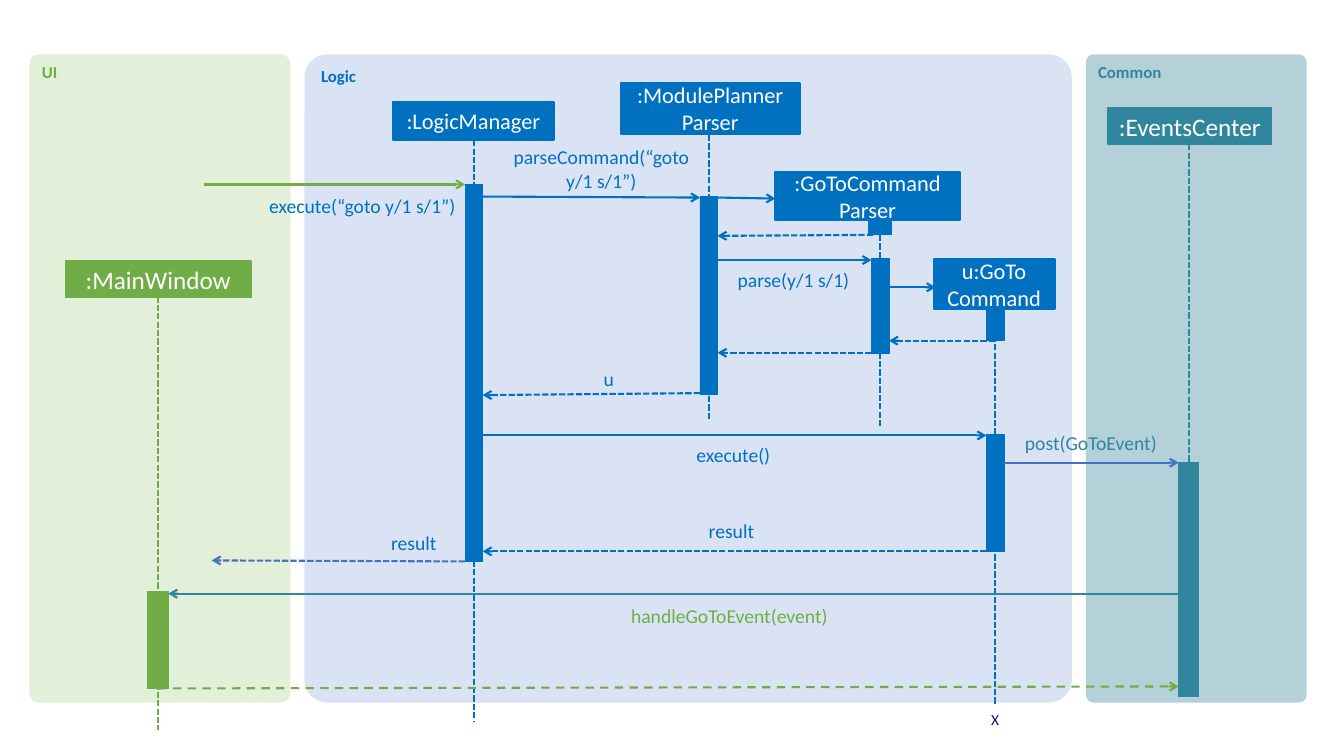
"""Build a sequence diagram slide of the goto command across UI, Logic and Common."""
from dataclasses import dataclass

import pptx
import pptx.dml.color
import pptx.enum.dml
import pptx.enum.shapes
import pptx.enum.text
import pptx.oxml
import pptx.oxml.ns
import pptx.util
from pptx.shapes.autoshape import Shape
from pptx.shapes.connector import Connector
from pptx.slide import Slide

RGBColor = pptx.dml.color.RGBColor
SHAPE = pptx.enum.shapes.MSO_SHAPE
ALIGN = pptx.enum.text.PP_ALIGN
ANCHOR = pptx.enum.text.MSO_ANCHOR
DASH = pptx.enum.dml.MSO_LINE

GREEN = RGBColor(0x70, 0xAD, 0x47)
BLUE = RGBColor(0x00, 0x70, 0xC0)
TEAL = RGBColor(0x30, 0x86, 0x9C)
INDIGO = RGBColor(0x44, 0x72, 0xC4)
NAVY = RGBColor(0x00, 0x20, 0x60)
WHITE = RGBColor(0xFF, 0xFF, 0xFF)
PALE_GREEN = RGBColor(0xE2, 0xF0, 0xD9)
PALE_BLUE = RGBColor(0xDA, 0xE3, 0xF3)
PALE_TEAL = RGBColor(0xB4, 0xD1, 0xD9)

FONT = "Calibri"
COLUMNS, ROWS = 133.3, 75
CELL = pptx.util.Inches(0.1)
PANEL_TOP, PANEL_ROWS = 5.4, 64.3
LABEL_ROWS = 2.4

WINDOW_X, MANAGER_X, PLANNER_X = 15.7, 47, 70.3
GOTO_X, COMMAND_X, CENTER_X = 87.3, 98.7, 117.9
NARROW, WIDE = 1.75, 2
HALF, WIDE_HALF = NARROW / 2, WIDE / 2


@dataclass(frozen=True)
class Panel:
    name: str
    left: float
    width: float
    fill: RGBColor
    color: RGBColor


@dataclass(frozen=True)
class Bar:
    top: float
    height: float
    width: float = NARROW


@dataclass(frozen=True)
class Participant:
    name: str
    box: tuple[float, float, float, float]
    x: float
    life: tuple[float, float]
    bars: tuple[Bar, ...]
    color: RGBColor = BLUE
    size: float = 16
    border: float = 1.5
    bar_border: float = 0.5


@dataclass(frozen=True)
class Message:
    start: tuple[float, float]
    end: tuple[float, float]
    color: RGBColor = BLUE
    dash: DASH | None = None


@dataclass(frozen=True)
class Label:
    text: str
    left: float
    top: float
    width: float
    color: RGBColor = BLUE
    align: ALIGN = ALIGN.CENTER
    lines: int = 1
    size: float = 14


PANELS = (
    Panel("UI", 2.9, 25.9, PALE_GREEN, GREEN),
    Panel("Common", 107.7, 21.9, PALE_TEAL, TEAL),
    Panel("Logic", 30.2, 76.1, PALE_BLUE, BLUE),
)
PARTICIPANTS = (
    Participant(":LogicManager", (39, 10.1, 15.9, 3.8), MANAGER_X, (13.9, 71.5),
                (Bar(18.3, 37.4),)),
    Participant(":ModulePlanner\nParser", (61.6, 8.2, 17.7, 5.1), PLANNER_X, (13.4, 41.6),
                (Bar(19.5, 19.6),)),
    Participant("u:GoTo\vCommand", (92.6, 25.7, 12, 5), COMMAND_X, (30.8, 69.9),
                (Bar(30.8, 3), Bar(43.1, 11.6))),
    Participant(":GoToCommand\nParser", (76.9, 17.1, 18.3, 4.7), GOTO_X, (23.3, 42.3),
                (Bar(22, 1.3, 2.3), Bar(25.6, 9.5))),
    Participant(":EventsCenter", (109.9, 10.7, 16.2, 3.6), CENTER_X, (14.3, 61.3),
                (Bar(45.9, 23.2, WIDE),), TEAL, 18, 1, 1),
    Participant(":MainWindow", (6.5, 25.9, 18.4, 3.6), WINDOW_X, (29.4, 72.4),
                (Bar(58.7, 9.6, WIDE),), GREEN, 18, 1, 1),
)
REPLY = DASH.SQUARE_DOT
MESSAGES = (
    Message((20.2, 18.3), (MANAGER_X - HALF, 18.3), GREEN),
    Message((MANAGER_X + HALF, 19.5), (PLANNER_X - HALF, 19.6)),
    Message((PLANNER_X + HALF, 19.6), (76.9, 19.7)),
    Message((86.6, 23.3), (PLANNER_X + HALF, 23.4), dash=REPLY),
    Message((PLANNER_X + HALF, 25.8), (GOTO_X - HALF, 25.8)),
    Message((GOTO_X + HALF, 28.5), (92.8, 28.5)),
    Message((COMMAND_X, 33.8), (GOTO_X + HALF, 33.8), dash=REPLY),
    Message((GOTO_X - HALF, 35), (PLANNER_X + HALF, 35), dash=REPLY),
    Message((PLANNER_X - HALF, 39), (MANAGER_X + HALF, 39.2), dash=REPLY),
    Message((MANAGER_X + HALF, 43.2), (COMMAND_X - HALF, 43.2)),
    Message((COMMAND_X + HALF, 45.9), (CENTER_X - WIDE_HALF, 45.9), INDIGO),
    Message((COMMAND_X - HALF, 54.7), (MANAGER_X + HALF, 54.7), dash=REPLY),
    Message((MANAGER_X - HALF, 55.7), (21, 55.6), INDIGO, REPLY),
    Message((CENTER_X - WIDE_HALF, 58.9), (WINDOW_X + WIDE_HALF, 58.9), TEAL),
    Message((WINDOW_X, 68.3), (CENTER_X - WIDE_HALF, 68.1), GREEN, DASH.DASH),
)
LABELS = (
    Label("execute(“goto y/1 s/1”)", 25.1, 19.2, 21.7),
    Label("parseCommand(“goto y/1 s/1”)", 50.3, 14.4, 18.7, lines=2),
    Label("parse(y/1 s/1)", 71.4, 26.6, 14.6),
    Label("u", 58.5, 36.4, 2.4, align=ALIGN.RIGHT),
    Label("execute()", 67, 43.9, 9.4, align=ALIGN.RIGHT),
    Label("post(GoToEvent)", 100.9, 42.8, 14.6, TEAL),
    Label("result", 68, 51.5, 6.8, align=ALIGN.RIGHT),
    Label("result", 35, 52.7, 8.3, align=ALIGN.RIGHT),
    Label("handleGoToEvent(event)", 62.3, 59.9, 20.1, GREEN),
    Label("X", 97.3, 70.4, 2.8, NAVY, size=11),
)


def cells(*counts: float) -> list[int]:
    return [round(n * CELL) for n in counts]


def write(sp: Shape, text: str, size: float, color: RGBColor, align: ALIGN,
          bold: bool = False) -> None:
    tf = sp.text_frame
    tf.word_wrap = True
    tf.text = text
    for p in tf.paragraphs:
        p.alignment = align
        p.font.name, p.font.size, p.font.bold = FONT, pptx.util.Pt(size), bold
        p.font.color.rgb = color


def draw_block(s: Slide, kind: SHAPE, box: tuple[float, float, float, float],
               fill: RGBColor, border: float = 0) -> Shape:
    sp = s.shapes.add_shape(kind, *cells(*box))
    sp.shadow.inherit = False
    sp.fill.solid()
    sp.fill.fore_color.rgb = fill
    if border:
        sp.line.color.rgb = fill
        sp.line.width = pptx.util.Pt(border)
    else:
        sp.line.fill.background()
    return sp


def draw_line(s: Slide, m: Message, arrow: bool = True) -> Connector:
    line = s.shapes.add_connector(pptx.enum.shapes.MSO_CONNECTOR.STRAIGHT,
                                  *cells(*m.start, *m.end))
    line.line.color.rgb = m.color
    line.line.width = pptx.util.Pt(1.5)
    if m.dash:
        line.line.dash_style = m.dash
    sppr = line._element.spPr
    ns = pptx.oxml.ns.nsdecls("a")
    if arrow:
        sppr.ln.append(pptx.oxml.parse_xml(f'<a:tailEnd {ns} type="arrow"/>'))
    sppr.append(pptx.oxml.parse_xml(f"<a:effectLst {ns}/>"))
    return line


def draw_panel(s: Slide, panel: Panel) -> None:
    box = (panel.left, PANEL_TOP, panel.width, PANEL_ROWS)
    sp = draw_block(s, SHAPE.ROUNDED_RECTANGLE, box, panel.fill)
    sp.adjustments[0] = 0.035
    write(sp, panel.name, 12, panel.color, ALIGN.LEFT, bold=True)
    sp.text_frame.vertical_anchor = ANCHOR.TOP


def draw_participant(s: Slide, who: Participant) -> None:
    top, bottom = who.life
    draw_line(s, Message((who.x, top), (who.x, bottom), who.color, REPLY), arrow=False)
    for bar in who.bars:
        box = (who.x - bar.width / 2, bar.top, bar.width, bar.height)
        draw_block(s, SHAPE.RECTANGLE, box, who.color, who.bar_border)
    sp = draw_block(s, SHAPE.RECTANGLE, who.box, who.color, who.border)
    write(sp, who.name, who.size, WHITE, ALIGN.CENTER)
    sp.text_frame.vertical_anchor = ANCHOR.MIDDLE


def draw_label(s: Slide, label: Label) -> None:
    sp = s.shapes.add_textbox(*cells(label.left, label.top, label.width,
                                     LABEL_ROWS * label.lines))
    tf = sp.text_frame
    tf.margin_left = tf.margin_right = tf.margin_top = tf.margin_bottom = 0
    write(sp, label.text, label.size, label.color, label.align)


def main() -> None:
    prs = pptx.Presentation()
    prs.slide_width, prs.slide_height = cells(COLUMNS, ROWS)
    s = prs.slides.add_slide(prs.slide_layouts[6])
    for items, draw in ((PANELS, draw_panel), (PARTICIPANTS, draw_participant),
                        (MESSAGES, draw_line), (LABELS, draw_label)):
        for item in items:
            draw(s, item)
    prs.save("out.pptx")


if __name__ == "__main__":
    main()
